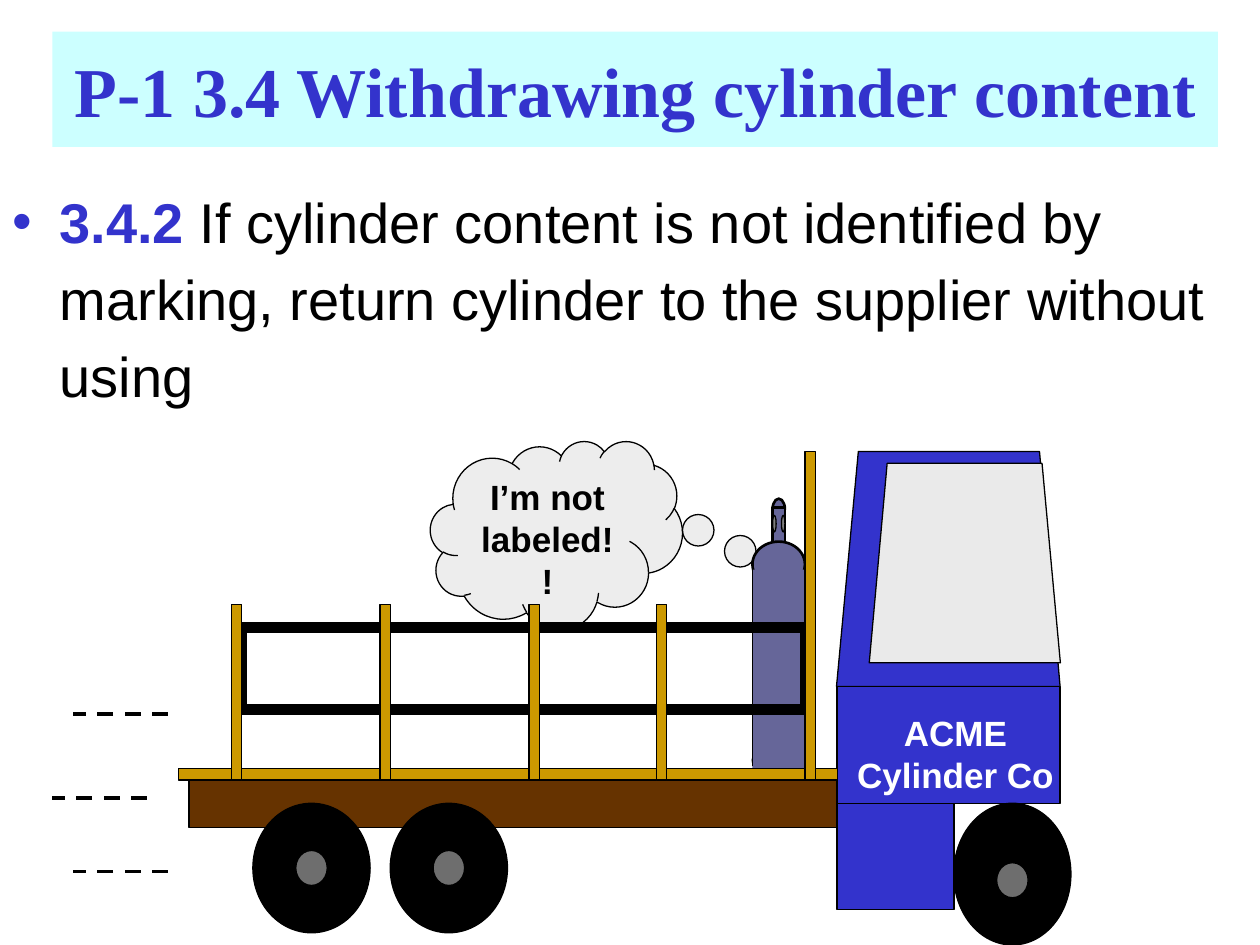
from dataclasses import dataclass

from lxml.etree import SubElement
from pptx import Presentation
from pptx.dml.color import RGBColor
from pptx.enum.dml import MSO_LINE
from pptx.enum.shapes import MSO_CONNECTOR, MSO_SHAPE
from pptx.enum.text import MSO_ANCHOR, PP_ALIGN
from pptx.oxml.ns import qn
from pptx.util import Pt


@dataclass(frozen=True)
class Theme:
    blue: str = "3333CC"
    banner: str = "CCFFFF"
    black: str = "000000"
    white: str = "FFFFFF"
    cloud: str = "DDDDDD"
    steel: str = "666699"
    valve: str = "808080"
    window: str = "EAEAEA"
    wood: str = "CC9900"
    chassis: str = "663300"
    heading_font: str = "Times New Roman"
    body_font: str = "Arial"
    title_size: int = 40
    body_size: int = 32
    label_size: int = 20


THEME = Theme()


def color(value):
    return RGBColor.from_string(value)


def write_text(paragraph, text, *, size, fill, font=THEME.body_font, bold=True, align=None):
    if align is not None:
        paragraph.alignment = align
    run = paragraph.add_run()
    run.text = text
    run.font.name = font
    run.font.size = Pt(size)
    run.font.bold = bold
    run.font.color.rgb = color(fill)


def format_shape(shape, fill=None, line=THEME.black, width=0.75, opacity=None):
    shape.shadow.inherit = False
    if fill:
        shape.fill.solid()
        shape.fill.fore_color.rgb = color(fill)
    else:
        shape.fill.background()
    if opacity:
        fill_color = shape.fill._xPr.find(qn("a:solidFill"))[0]
        SubElement(fill_color, qn("a:alpha"), val=str(opacity * 1000))
    if line:
        shape.line.color.rgb = color(line)
        shape.line.width = Pt(width)
    else:
        shape.line.fill.background()
    return shape


def add_shape(shapes, kind, box, **style):
    return format_shape(shapes.add_shape(kind, *map(Pt, box)), **style)


def add_rectangle(shapes, box, **style):
    return add_shape(shapes, MSO_SHAPE.RECTANGLE, box, **style)


def add_ellipse(shapes, box, **style):
    return add_shape(shapes, MSO_SHAPE.OVAL, box, **style)


def add_polygon(shapes, points, **style):
    corners = [(Pt(x), Pt(y)) for x, y in points]
    builder = shapes.build_freeform(*corners[0])
    builder.add_line_segments(corners[1:], close=True)
    return format_shape(builder.convert_to_shape(), **style)


def add_line(shapes, start, end, width=0.75, dash=None):
    line = shapes.add_connector(MSO_CONNECTOR.STRAIGHT, *map(Pt, start + end))
    line.line.color.rgb = color(THEME.black)
    line.line.width = Pt(width)
    if dash:
        line.line.dash_style = dash
    SubElement(line._element.spPr, qn("a:effectLst"))


def add_title(slide):
    title = slide.shapes.title
    title.left, title.top, title.width, title.height = map(Pt, (30, 18, 666, 66))
    title.fill.solid()
    title.fill.fore_color.rgb = color(THEME.banner)
    title.text_frame.vertical_anchor = MSO_ANCHOR.MIDDLE
    write_text(title.text_frame.paragraphs[0], "P-1 3.4 Withdrawing cylinder content",
               size=THEME.title_size, fill=THEME.blue, font=THEME.heading_font,
               align=PP_ALIGN.CENTER)


def add_rule(slide):
    frame = slide.shapes.add_textbox(*map(Pt, (0, 96, 720, 138))).text_frame
    frame.word_wrap = True
    frame.margin_top = Pt(6)
    paragraph = frame.paragraphs[0]
    paragraph.line_spacing = 1.14
    properties = paragraph._p.get_or_add_pPr()
    properties.set("marL", str(Pt(27)))
    properties.set("indent", str(Pt(-27)))
    bullet_color = SubElement(properties, qn("a:buClr"))
    SubElement(bullet_color, qn("a:srgbClr"), val=THEME.blue)
    SubElement(properties, qn("a:buFont"), typeface=THEME.body_font)
    SubElement(properties, qn("a:buChar"), char="•")
    write_text(paragraph, "3.4.2", size=THEME.body_size, fill=THEME.blue)
    write_text(paragraph, " If cylinder content is not identified by marking, "
               "return cylinder to the supplier without using",
               size=THEME.body_size, fill=THEME.black, bold=False)


def add_thought(slide):
    style = {"fill": THEME.cloud, "opacity": 50}
    cloud = add_shape(slide.shapes, MSO_SHAPE.CLOUD, (246, 252, 144, 108), **style)
    frame = cloud.text_frame
    frame.word_wrap = True
    frame.vertical_anchor = MSO_ANCHOR.TOP
    write_text(frame.paragraphs[0], "I’m not labeled!!", size=THEME.label_size,
               fill=THEME.black, align=PP_ALIGN.CENTER)
    for left, top in ((390, 294), (414, 306)):
        add_ellipse(slide.shapes, (left, top, 18, 18), **style)


def add_speed_lines(slide):
    for left, top in ((42, 408), (30, 456), (42, 498)):
        add_line(slide.shapes, (left + 54, top), (left, top), 2.25, MSO_LINE.DASH)


def add_cylinder(slide):
    shapes = slide.shapes.add_group_shape().shapes
    left, width = 430, 30
    add_ellipse(shapes, (left, 423.5, width, 22), fill=THEME.steel, width=1)
    add_ellipse(shapes, (441.5, 285, 7, 11.5), fill=THEME.steel, width=1.5)
    add_rectangle(shapes, (441.5, 290, 7, 21.5), fill=THEME.steel, width=1.5)
    add_ellipse(shapes, (left, 309.5, width, 26), fill=THEME.steel, width=1.5)
    add_rectangle(shapes, (left, 325.5, width, 114.5), fill=THEME.steel, line=None)
    for side in (left, left + width):
        add_line(shapes, (side, 322.5), (side, 438))
    for opening in (441.5, 446.5):
        add_ellipse(shapes, (opening, 294.5, 2, 9.5), fill=THEME.valve)


def add_truck(slide):
    shapes = slide.shapes.add_group_shape().shapes
    add_rectangle(shapes, (138, 358.5, 322, 47), width=6)
    add_rectangle(shapes, (108, 445.75, 370, 27), fill=THEME.chassis)
    add_polygon(shapes, [(478, 392.25), (605.75, 392.25), (594, 258), (490.5, 258)],
                fill=THEME.blue)
    add_rectangle(shapes, (478.25, 392.25, 127.5, 67), fill=THEME.blue)
    add_rectangle(shapes, (478.25, 459.25, 67, 60.5), fill=THEME.blue)

    wheels = ((545, 81, 493), (223, 74, 486), (144.5, 74, 486))
    wheel_width, hub_width = 67, 18
    for left, height, _ in wheels:
        add_ellipse(shapes, (left, 459, wheel_width, height), fill=THEME.black)

    add_rectangle(shapes, (102, 439, 376.5, 6.75), fill=THEME.wood)
    add_rectangle(shapes, (460, 258, 6, 187.75), fill=THEME.wood)
    add_polygon(shapes, [(496.75, 378.75), (606, 378.75), (595.5, 264.75), (507, 264.75)],
                fill=THEME.window)
    for left in (375, 302.25, 217.25, 132.25):
        add_rectangle(shapes, (left, 345.25, 6, 100.5), fill=THEME.wood)
    for left, _, hub_top in wheels:
        hub_left = left + (wheel_width - hub_width) / 2
        add_ellipse(shapes, (hub_left, hub_top, hub_width, 20), fill=THEME.cloud, opacity=50)


def add_door_label(slide):
    frame = slide.shapes.add_textbox(*map(Pt, (480, 403, 132, 55.5))).text_frame
    frame.word_wrap = True
    for paragraph, text in ((frame.paragraphs[0], "ACME"),
                            (frame.add_paragraph(), "Cylinder Co")):
        write_text(paragraph, text, size=THEME.label_size, fill=THEME.white,
                   align=PP_ALIGN.CENTER)


def main():
    presentation = Presentation()
    presentation.slide_width, presentation.slide_height = Pt(720), Pt(540)
    slide = presentation.slides.add_slide(presentation.slide_layouts.get_by_name("Title Only"))
    for add_part in (add_title, add_rule, add_thought, add_speed_lines,
                     add_cylinder, add_truck, add_door_label):
        add_part(slide)
    presentation.save("out.pptx")


if __name__ == "__main__":
    main()
